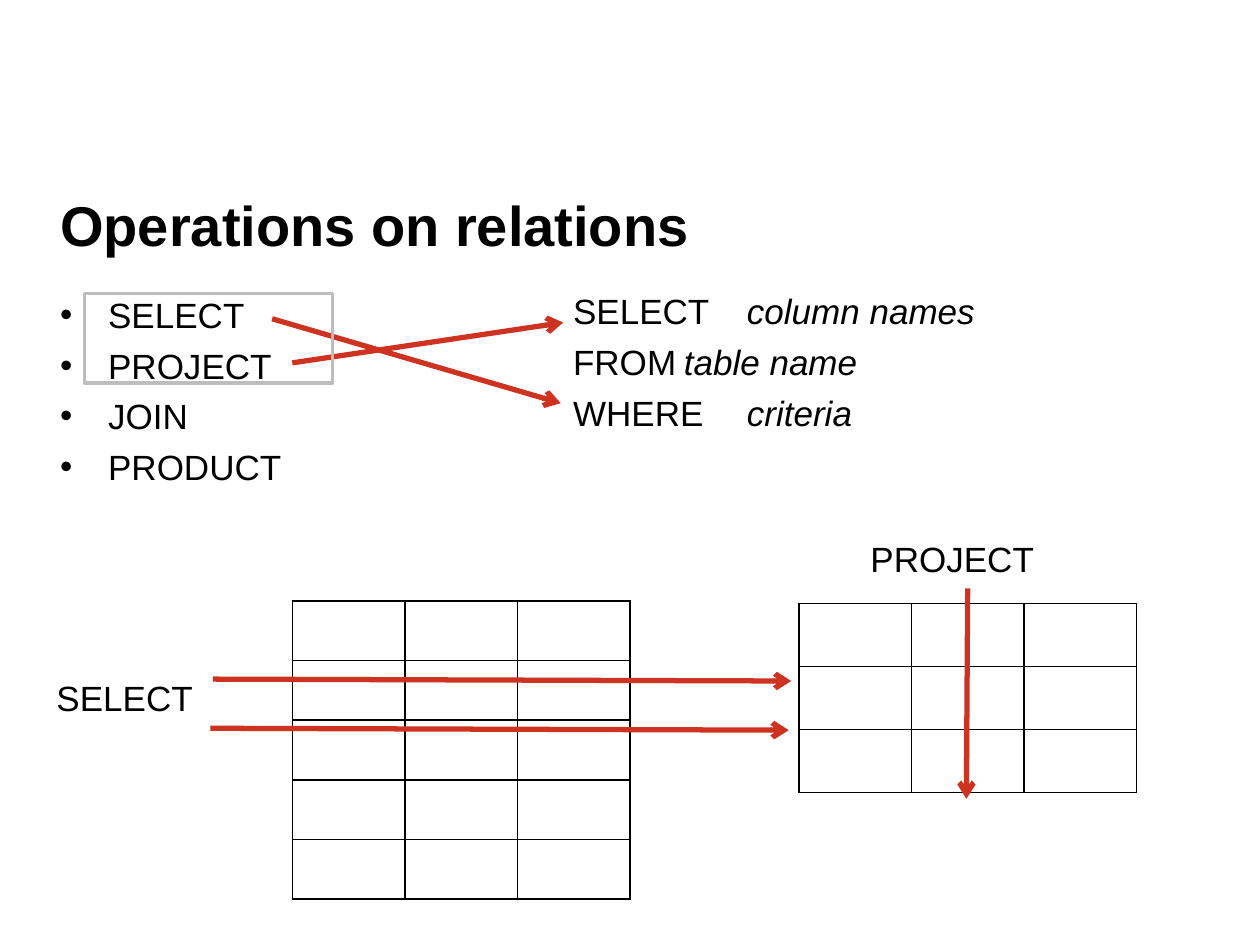
from pptx import Presentation
from pptx.dml.color import RGBColor
from pptx.enum.shapes import MSO_CONNECTOR as Connector, MSO_SHAPE as Shape
from pptx.enum.text import MSO_ANCHOR as Anchor
from pptx.oxml.ns import qn
from pptx.util import Inches, Pt
from lxml import etree

COLORS = {"text": "000000", "arrow": "CE3322", "frame": "BDBDBD", "grid": "000000"}
FONT = "Arial"
INDENT = Inches(0.38)

presentation = Presentation()
presentation.slide_width, presentation.slide_height = Inches(10), Inches(7.5)
# The slide is a grid of 100 columns by 75 rows
COLUMN = presentation.slide_width / 100
ROW = presentation.slide_height / 75


def place(left, top, width=0, height=0):
    return [round(left * COLUMN), round(top * ROW),
            round(width * COLUMN), round(height * ROW)]


def rgb(name):
    return RGBColor.from_string(COLORS[name])


def add_child(parent, tag, **attributes):
    return etree.SubElement(parent, qn(tag), attributes)


def add_text(slide, box, lines, size=20, bold=False, anchor=Anchor.TOP, gap=0):
    """Write lines; each is a list of (text, italic) runs."""
    frame = slide.shapes.add_textbox(*place(*box)).text_frame
    frame.word_wrap = True
    frame.vertical_anchor = anchor
    for number, runs in enumerate(lines):
        paragraph = frame.add_paragraph() if number else frame.paragraphs[0]
        paragraph.space_before = Pt(gap)
        font = paragraph.font
        font.name, font.size, font.bold = FONT, Pt(size), bold
        font.color.rgb = rgb("text")
        for text, italic in runs:
            run = paragraph.add_run()
            run.text = text
            if italic:
                run.font.italic = True
    return frame


def set_hanging(paragraph, bullet=None, tab=None):
    properties = paragraph._p.get_or_add_pPr()
    properties.set("marL", str(INDENT))
    properties.set("indent", str(-INDENT))
    details = []
    if bullet:
        details += [add_child(properties, "a:buFont", typeface=FONT),
                    add_child(properties, "a:buChar", char=bullet)]
    if tab:
        tabs = add_child(properties, "a:tabLst")
        add_child(tabs, "a:tab", pos=str(tab), algn="l")
        details.append(tabs)
    defaults = properties.find(qn("a:defRPr"))
    for detail in details:
        defaults.addprevious(detail)


def add_arrow(slide, start, end):
    line = slide.shapes.add_connector(
        Connector.STRAIGHT, *place(*start)[:2], *place(*end)[:2])
    line.line.color.rgb = rgb("arrow")
    line.line.width = Pt(3)
    add_child(line.line._get_or_add_ln(), "a:tailEnd", type="arrow")
    add_child(line._element.spPr, "a:effectLst")


def add_relation(slide, box, row_count, column_count=3):
    """Draw an empty table with thin black borders."""
    shape = slide.shapes.add_table(row_count, column_count, *place(*box))
    table = shape.table
    table.first_row = table.horz_banding = False
    for cell in table.iter_cells():
        properties = cell._tc.get_or_add_tcPr()
        for side in ("a:lnL", "a:lnR", "a:lnT", "a:lnB"):
            border = add_child(properties, side, w=str(Pt(1)))
            fill = add_child(border, "a:solidFill")
            add_child(fill, "a:srgbClr", val=COLORS["grid"])
        cell.fill.background()


def add_operations(slide, box):
    """List the operations and frame the first two."""
    left, top, width, height = box
    names = ("SELECT", "PROJECT", "JOIN", "PRODUCT")
    frame = add_text(slide, box, [[(name, False)] for name in names], gap=5)
    for paragraph in frame.paragraphs:
        set_hanging(paragraph, bullet="•")
    highlight = slide.shapes.add_shape(
        Shape.RECTANGLE, *place(left + 2.9, top + 0.5, 19.7, 7.1))
    highlight.shadow.inherit = False
    highlight.fill.background()
    highlight.line.color.rgb = rgb("frame")
    highlight.line.width = Pt(2)


def add_query(slide, box):
    """Write the SQL clauses, with arrows from the matching operations."""
    left, top, width, height = box
    clauses = (("SELECT", "column names"), ("FROM", "table name"),
               ("WHERE", "criteria"))
    lines = [[(keyword + "\t", False), (value, True)] for keyword, value in clauses]
    for paragraph in add_text(slide, box, lines, gap=5).paragraphs:
        set_hanging(paragraph, tab=Inches(1.47))
    add_arrow(slide, (left - 21.3, top + 6.3), (left + 0.2, top + 3.1))
    add_arrow(slide, (left - 22.9, top + 2.8), (left, top + 9.5))


def add_select(slide, box):
    """Rows picked from a relation."""
    left, top, width, height = box
    add_relation(slide, box, 5)
    add_text(slide, (left - 19.7, top + 5.5, 17.3, 4.4), [[("SELECT", False)]])
    for shift, drop in ((-6.5, 10.1), (-6.3, 6.2)):
        add_arrow(slide, (left + shift, top + drop),
                  (left + shift + 45.9, top + drop + 0.15))


def add_project(slide, box):
    """A column picked from a relation."""
    left, top, width, height = box
    add_relation(slide, box, 3)
    add_text(slide, (left + 4.7, top - 5.7, 17.3, 4.4), [[("PROJECT", False)]])
    middle = left + width / 2
    add_arrow(slide, (middle, top - 1.2), (middle - 0.1, top + 15.5))


slide = presentation.slides.add_slide(presentation.slide_layouts[6])
add_text(slide, (3.8, 14, 92.4, 7.6), [[("Operations on relations", False)]],
         size=32, bold=True, anchor=Anchor.MIDDLE)
add_query(slide, (44.5, 22.5, 38.6, 18.9))
add_operations(slide, (3.8, 22.8, 27.3, 21))
add_project(slide, (63.4, 47.9, 26.8, 15))
add_select(slide, (23.2, 47.7, 26.8, 23.65))
presentation.save("out.pptx")
